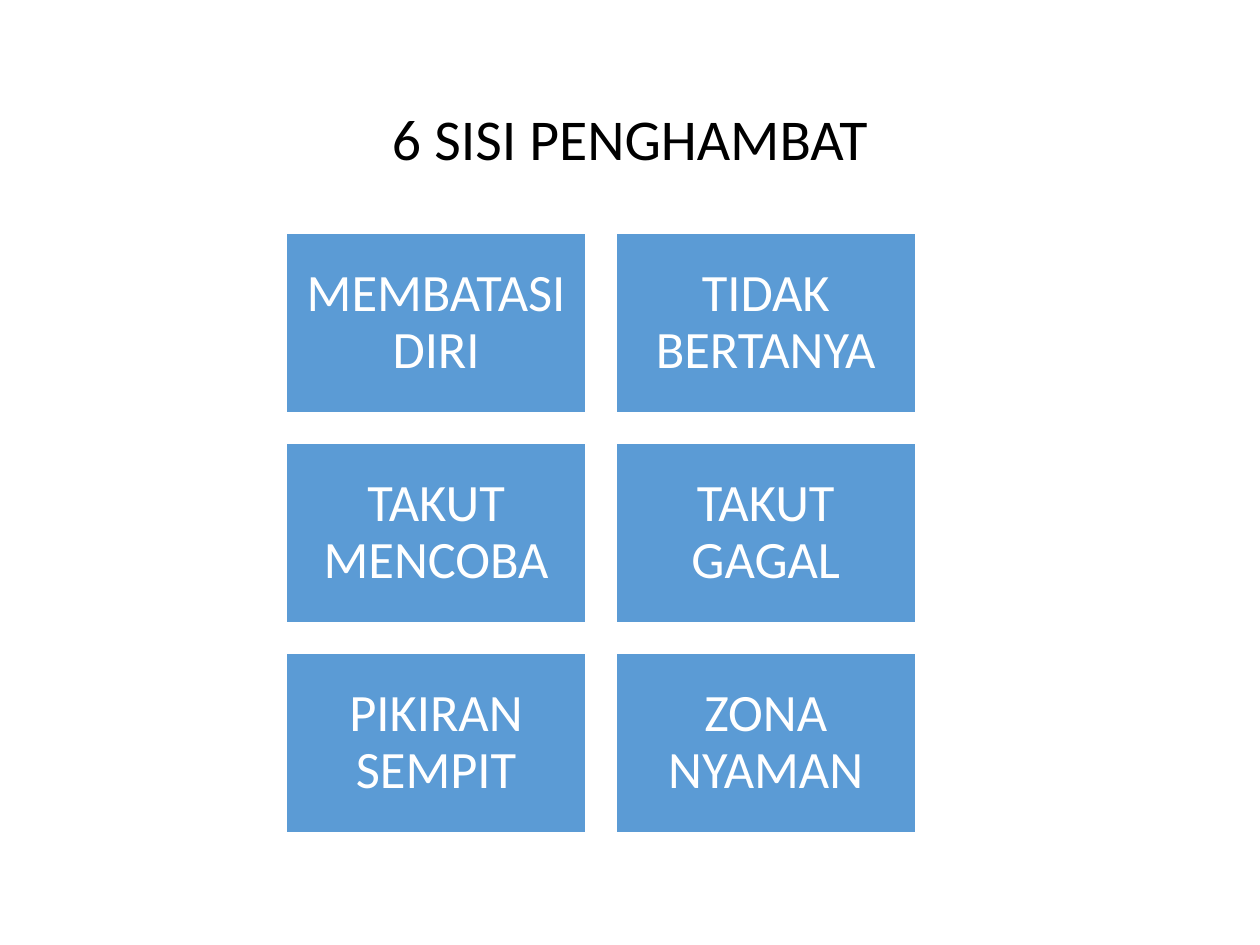
import pptx
import pptx.dml.color
import pptx.enum.shapes
import pptx.enum.text
import pptx.util

Cm = pptx.util.Cm
Pt = pptx.util.Pt

FONT = "Calibri"
BLACK, WHITE, BLUE = "000000", "FFFFFF", "5B9BD5"
COLUMNS = 2
GAP = Cm(0.6)
OBSTACLES = [
    "MEMBATASI DIRI", "TIDAK BERTANYA",
    "TAKUT MENCOBA", "TAKUT GAGAL",
    "PIKIRAN SEMPIT", "ZONA NYAMAN",
]


def color(hex_code):
    return pptx.dml.color.RGBColor.from_string(hex_code)


def write_centered(frame, text, size, hex_code):
    frame.word_wrap = True
    frame.vertical_anchor = pptx.enum.text.MSO_ANCHOR.MIDDLE
    paragraph = frame.paragraphs[0]
    paragraph.text = text
    paragraph.alignment = pptx.enum.text.PP_ALIGN.CENTER
    paragraph.line_spacing = 0.9
    paragraph.font.name = FONT
    paragraph.font.size = Pt(size)
    paragraph.font.color.rgb = color(hex_code)


def add_title(slide, left, top, width, height):
    title = slide.shapes.add_textbox(left, top, width, height)
    write_centered(title.text_frame, "6 SISI PENGHAMBAT", 33, BLACK)


def add_tile(slide, label, left, top, width, height):
    tile = slide.shapes.add_shape(
        pptx.enum.shapes.MSO_SHAPE.RECTANGLE, left, top, width, height)
    tile.shadow.inherit = False
    tile.fill.solid()
    tile.fill.fore_color.rgb = color(BLUE)
    tile.line.color.rgb = color(WHITE)
    tile.line.width = Pt(1)
    frame = tile.text_frame
    frame.margin_left = frame.margin_right = Cm(0.3)
    frame.margin_top = frame.margin_bottom = Cm(0.3)
    write_centered(frame, label, 30, WHITE)


def add_obstacle_grid(slide, left, top, width, height):
    """Fill the box with equal tiles, row by row."""
    rows = len(OBSTACLES) // COLUMNS
    tile_width = (width - GAP * (COLUMNS - 1)) // COLUMNS
    tile_height = (height - GAP * (rows - 1)) // rows
    for index, label in enumerate(OBSTACLES):
        row, column = divmod(index, COLUMNS)
        add_tile(slide, label,
                 left + column * (tile_width + GAP),
                 top + row * (tile_height + GAP),
                 tile_width, tile_height)


def main():
    deck = pptx.Presentation()
    deck.slide_width, deck.slide_height = Cm(25.4), Cm(19.05)
    slide = deck.slides.add_slide(deck.slide_layouts[6])
    add_title(slide, Cm(1.75), Cm(1.02), Cm(21.9), Cm(3.68))
    add_obstacle_grid(slide, Cm(5.77), Cm(4.7), Cm(12.69), Cm(12.09))
    deck.save("out.pptx")


if __name__ == "__main__":
    main()
